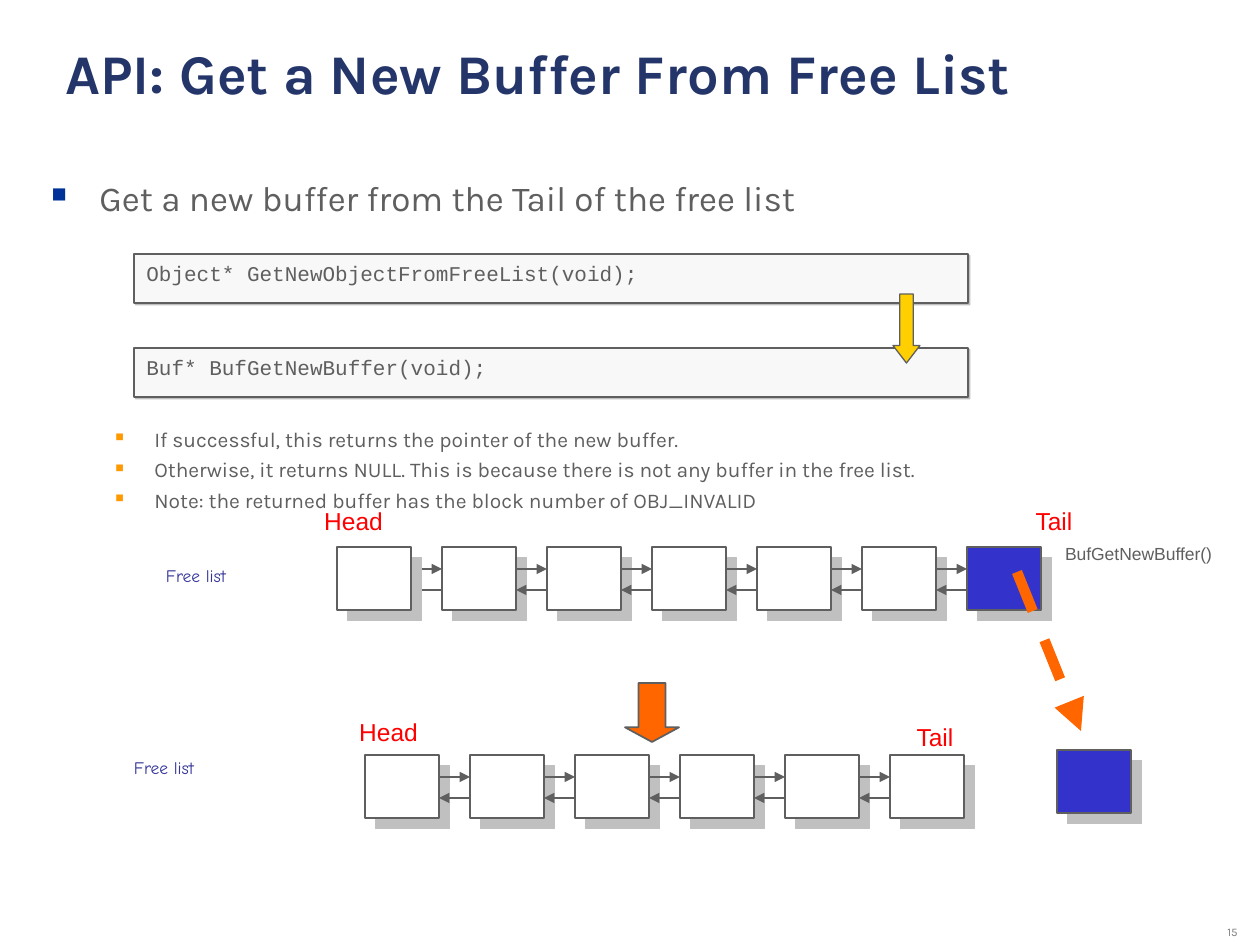
import pptx
import pptx.dml.color
import pptx.enum.dml
import pptx.enum.shapes
import pptx.enum.text
import pptx.oxml
import pptx.oxml.ns
import pptx.util

RGB = pptx.dml.color.RGBColor
SHAPE = pptx.enum.shapes.MSO_SHAPE
ALIGN = pptx.enum.text.PP_ALIGN
ANCHOR = pptx.enum.text.MSO_ANCHOR

WHITE = RGB(0xFF, 0xFF, 0xFF)
NAVY = RGB(0x24, 0x35, 0x6A)
GRAY = RGB(0x5F, 0x5F, 0x5F)
PALE = RGB(0xF8, 0xF8, 0xF8)
PAGE_GRAY = RGB(0x80, 0x80, 0x80)
BLUE = RGB(0x33, 0x33, 0xCC)
INDIGO = RGB(0x33, 0x33, 0x99)
RED = RGB(0xFF, 0x00, 0x00)
ORANGE = RGB(0xFF, 0x66, 0x00)
YELLOW = RGB(0xFF, 0xCF, 0x01)

# Content; boxes are (left, top, width, height) in px
PX_PER_INCH = 126
TITLE = "API: Get a New Buffer From Free List"
# text, size, left margin px, hanging px, space before pt, bullet colour, bullet %
BODY = [
    ("Get a new buffer from the Tail of the free list", 20, 48, 48, 0, "003399", 60),
    ("If successful, this returns the pointer of the new buffer.",
     12, 103, 39, 119, "FF9900", 55),
    ("Otherwise, it returns NULL. This is because there is not any buffer in the free list.",
     12, 103, 39, 3, "FF9900", 55),
    ("Note: the returned buffer has the block number of OBJ_INVALID",
     12, 103, 39, 3, "FF9900", 55),
]
CODE = [
    ("Object* GetNewObjectFromFreeList(void);", 254),
    ("Buf* BufGetNewBuffer(void);", 348),
]
LABELS = [
    ("Free list", (153, 558, 86, 34), 10, "Comic Neue", INDIGO),
    ("BufGetNewBuffer()", (1052, 537, 173, 34), 10, "Arial", GRAY),
    ("Head", (312, 499, 83, 43), 14, "Arial", RED),
    ("Tail", (1022, 499, 64, 43), 14, "Arial", RED),
    ("Free list", (121, 751, 86, 34), 10, "Comic Neue", INDIGO),
    ("Head", (347, 710, 83, 43), 14, "Arial", RED),
    ("Tail", (903, 715, 64, 43), 14, "Arial", RED),
]
# left, top, fills of the buffers
BEFORE = (337, 547, [WHITE] * 6 + [BLUE])
AFTER = (365, 755, [WHITE] * 6)
BUFFER_W, BUFFER_H, STEP = 74, 63, 105
LINK_FORWARD, LINK_BACK = 22, 43
TAKEN = (1057, 750)

prs = pptx.Presentation()


def px(n):
    return pptx.util.Emu(round(n * 914400 / PX_PER_INCH))


prs.slide_width, prs.slide_height = px(1260), px(945)
s = prs.slides.add_slide(prs.slide_layouts[6])


def style(p, size, font, color, bold=False, align=ALIGN.LEFT):
    p.alignment = align
    p.font.size, p.font.name, p.font.bold = pptx.util.Pt(size), font, bold
    p.font.color.rgb = color


def add_xml(parent, tag, **attrs):
    child = pptx.oxml.parse_xml(f"<a:{tag} {pptx.oxml.ns.nsdecls('a')}/>")
    for name, value in attrs.items():
        child.set(name, str(value))
    parent.append(child)
    return child


def text_box(box, wrap=True, anchor=ANCHOR.TOP):
    tf = s.shapes.add_textbox(*map(px, box)).text_frame
    tf.word_wrap, tf.vertical_anchor = wrap, anchor
    return tf


def shape(kind, box, fill, shadow=None, width=1):
    sp = s.shapes.add_shape(kind, *map(px, box))
    sp.shadow.inherit = False
    sp.fill.solid()
    sp.fill.fore_color.rgb = fill
    sp.line.color.rgb = GRAY
    sp.line.width = pptx.util.Pt(width)
    if shadow:
        color, percent, dist = shadow
        effects = sp._element.spPr.find(pptx.oxml.ns.qn("a:effectLst"))
        outer = add_xml(effects, "outerShdw", dist=pptx.util.Pt(dist), dir=45 * 60000,
                        algn="ctr", rotWithShape=0)
        add_xml(add_xml(outer, "srgbClr", val=color), "alpha", val=percent * 1000)
    return sp


def arrow(x1, y1, x2, y2, color=GRAY, width=1, end="tailEnd", dash=None):
    c = s.shapes.add_connector(pptx.enum.shapes.MSO_CONNECTOR.STRAIGHT,
                               px(x1), px(y1), px(x2), px(y2))
    c.line.color.rgb, c.line.width = color, pptx.util.Pt(width)
    if dash:
        c.line.dash_style = dash
    add_xml(c.line._get_or_add_ln(), end, type="triangle")
    add_xml(c._element.spPr, "effectLst")


def buffer(x, y, fill=WHITE):
    shape(SHAPE.RECTANGLE, (x, y, BUFFER_W, BUFFER_H), fill, ("C0C0C0", 100, 8.5))


def linked_list(left, top, fills, head_on_top=False):
    xs = [left + i * STEP for i in range(len(fills))]
    for x, fill in list(zip(xs, fills))[head_on_top:]:
        buffer(x, top, fill)
    for y, end in ((top + LINK_FORWARD, "tailEnd"), (top + LINK_BACK, "headEnd")):
        for x in xs[:-1]:
            arrow(x + BUFFER_W, y, x + STEP, y, end=end)
    if head_on_top:
        buffer(left, top, fills[0])


def code_box(text, top):
    sp = shape(SHAPE.RECTANGLE, (134, top, 834, 49), PALE, ("808080", 50, 1.4))
    tf = sp.text_frame
    tf.word_wrap, tf.vertical_anchor = False, ANCHOR.TOP
    tf.text = text
    style(tf.paragraphs[0], 12, "Courier New", GRAY)


def down_arrow(box, fill, head, width):
    sp = shape(SHAPE.DOWN_ARROW, box, fill, width=width)
    sp.adjustments[0], sp.adjustments[1] = 0.5, head


# Page number
tf = text_box((1124, 914, 126, 31), anchor=ANCHOR.BOTTOM)
tf.text = "15"
style(tf.paragraphs[0], 6.6, "Karla", PAGE_GRAY, align=ALIGN.RIGHT)
tf.paragraphs[0].line_spacing = 0.8

# Title
tf = text_box((53, 32, 1138, 154))
tf.text = TITLE
style(tf.paragraphs[0], 32, "Karla", NAVY, bold=True)

# Bulleted body
tf = text_box((39, 170, 1139, 714))
for i, (text, size, margin, hang, before, color, percent) in enumerate(BODY):
    p = tf.add_paragraph() if i else tf.paragraphs[0]
    p.text = text
    pPr = p._p.get_or_add_pPr()
    pPr.set("marL", str(px(margin)))
    pPr.set("indent", str(-px(hang)))
    add_xml(add_xml(pPr, "buClr"), "srgbClr", val=color)
    add_xml(pPr, "buSzPct", val=percent * 1000)
    add_xml(pPr, "buChar", char="■")
    p.space_before = pptx.util.Pt(before)
    style(p, size, "Karla", GRAY)

# Free list before and after, with the buffer taken from the tail
code_box(*CODE[0])
linked_list(*BEFORE, head_on_top=True)
linked_list(*AFTER)
buffer(*TAKEN, BLUE)
for text, box, size, font, color in LABELS:
    tf = text_box(box, wrap=False, anchor=ANCHOR.MIDDLE)
    tf.margin_left = tf.margin_right = 0
    tf.text = text
    style(tf.paragraphs[0], size, font, color, align=ALIGN.CENTER)

# Transitions
down_arrow((625, 683, 54, 59), ORANGE, 0.27, 1)
arrow(1017, 572, 1081, 731, ORANGE, 6, dash=pptx.enum.dml.MSO_LINE.DASH)
code_box(*CODE[1])
down_arrow((893, 294, 27, 69), YELLOW, 0.65, 0.75)

prs.save("out.pptx")
